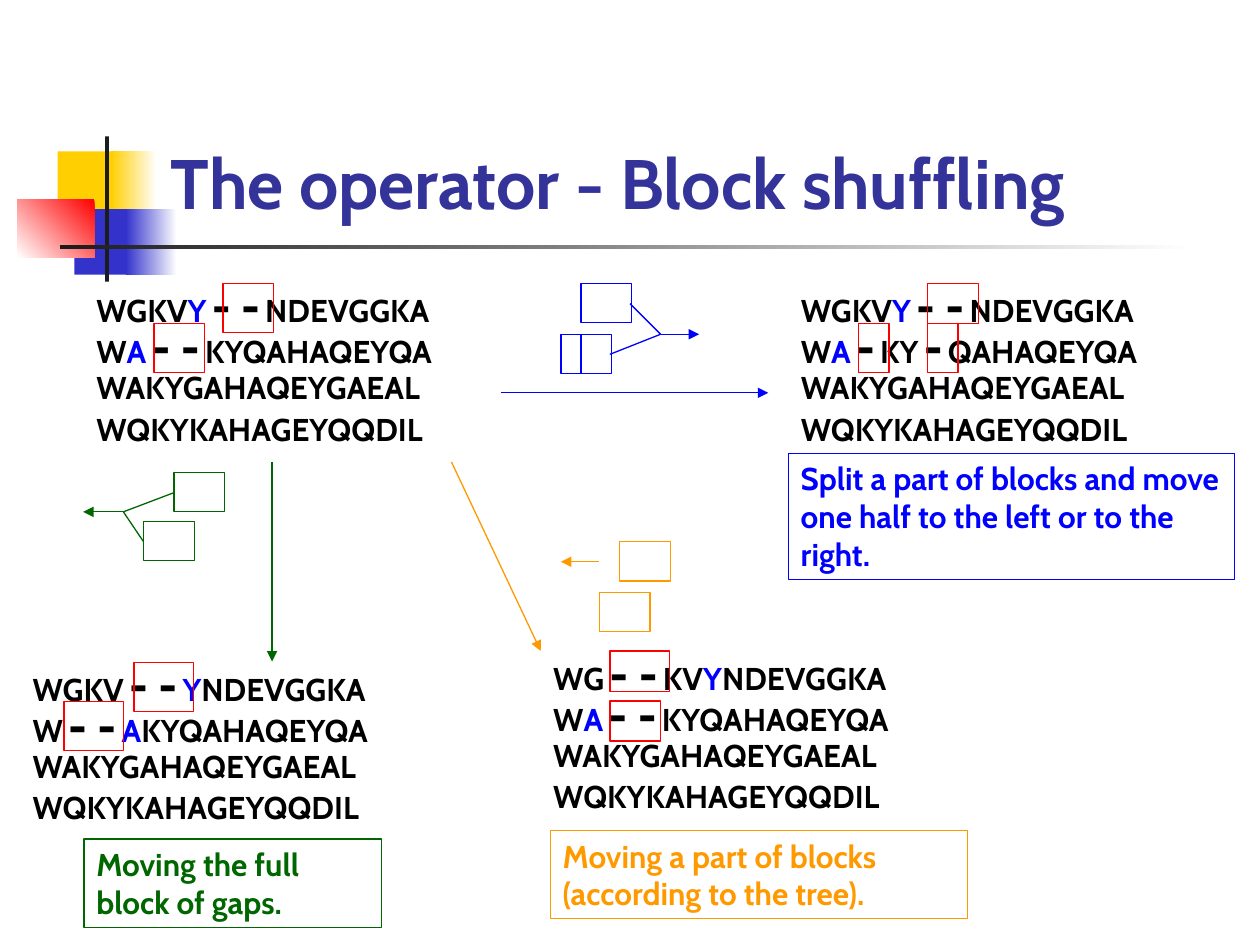
"""Build the slide on the block shuffling operator for sequence alignments."""
from lxml.etree import SubElement
from pptx import Presentation
from pptx.dml.color import RGBColor
from pptx.enum.shapes import MSO_CONNECTOR as CONNECTOR, MSO_SHAPE as SHAPE
from pptx.enum.text import MSO_ANCHOR as ANCHOR, PP_ALIGN as ALIGN
from pptx.oxml.ns import qn
from pptx.util import Pt

BLACK = RGBColor(0x00, 0x00, 0x00)
WHITE = RGBColor(0xFF, 0xFF, 0xFF)
CHARCOAL = RGBColor(0x1C, 0x1C, 0x1C)
YELLOW = RGBColor(0xFF, 0xCF, 0x01)
INDIGO = RGBColor(0x33, 0x33, 0xCC)
NAVY = RGBColor(0x33, 0x33, 0x99)
RED = RGBColor(0xFF, 0x00, 0x00)
BLUE = RGBColor(0x00, 0x00, 0xFF)
GREEN = RGBColor(0x00, 0x66, 0x00)
ORANGE = RGBColor(0xFF, 0x99, 0x00)


def add_box(slide, left, top, width, height):
    box = slide.shapes.add_shape(SHAPE.RECTANGLE, Pt(left), Pt(top), Pt(width), Pt(height))
    box.shadow.inherit = False
    box.fill.background()
    box.line.fill.background()
    return box


def style_font(font, size, color, name="Cabin"):
    font.name = name
    font.size = Pt(size)
    font.bold = True
    font.color.rgb = color


prs = Presentation()
prs.slide_width = Pt(720)
prs.slide_height = Pt(540)
slide = prs.slides.add_slide(prs.slide_layouts[6])

ornament = [
    (33, 86.5, 34.5, 37.5, YELLOW, None, 0),
    (63.5, 86.5, 26, 37.5, WHITE, YELLOW, 180),
    (42.5, 119.5, 33, 37.5, INDIGO, None, 0),
    (72, 119.5, 29, 37.5, WHITE, INDIGO, 180),
    (10, 114, 44, 33, RED, WHITE, 225),
    (60, 78, 2.25, 83, CHARCOAL, None, 0),
    (34.5, 140, 648, 2.5, WHITE, CHARCOAL, 180),
]
for left, top, width, height, start, end, angle in ornament:
    patch = add_box(slide, left, top, width, height)
    if end is None:
        patch.fill.solid()
        patch.fill.fore_color.rgb = start
    else:
        patch.fill.gradient()
        patch.fill.gradient_angle = angle
        for stop, color in zip(patch.fill.gradient_stops, (start, end)):
            stop.color.rgb = color

title = slide.shapes.add_textbox(Pt(90.5), Pt(16.5), Pt(613.5), Pt(115))
title.text_frame.word_wrap = True
title.text_frame.vertical_anchor = ANCHOR.BOTTOM
title.text_frame.text = "The operator - Block shuffling"
style_font(title.text_frame.paragraphs[0].runs[0].font, 40, NAVY)

alignments = [
    (48, 162, "WGKV Y -- NDEVGGKA", "W A -- KYQAHAQEYQA"),
    (11.5, 378.5, "WGKV -- Y NDEVGGKA", "W -- A KYQAHAQEYQA"),
    (309, 372, "WG -- KV Y NDEVGGKA", "W A -- KYQAHAQEYQA"),
    (450.5, 162, "WGKV Y -- NDEVGGKA", "W A - KY - QAHAQEYQA"),
]
ungapped = ["WAKYGAHAQEYGAEAL", "WQKYKAHAGEYQQDIL"]
row_spacing = [0.7, 0.7, Pt(19.5), Pt(23.5)]
for left, top, *gapped in alignments:
    alignment = slide.shapes.add_textbox(Pt(left), Pt(top), Pt(250), Pt(101.5))
    frame = alignment.text_frame
    frame.word_wrap = True
    for index, (sequence, spacing) in enumerate(zip(gapped + ungapped, row_spacing)):
        row = frame.add_paragraph() if index else frame.paragraphs[0]
        row.line_spacing = spacing
        for part in sequence.split():
            run = row.add_run()
            run.text = part
            if part.startswith("-"):
                style_font(run.font, 28, BLACK, "Courier New")
            else:
                style_font(run.font, 18, BLUE if part in ("Y", "A") else BLACK)

blocks = {
    RED: [
        (127.5, 162, 29, 28), (88, 185, 29, 28),
        (76.5, 378.5, 34, 28), (36.5, 401, 34, 28),
        (348.5, 372, 34, 23), (348.5, 400.5, 29, 23),
        (530, 162, 29, 23), (490.5, 185, 17.5, 28), (530, 185, 17.5, 28),
    ],
    GREEN: [(99.5, 270, 29, 22.5), (82, 298, 29, 22.5)],
    ORANGE: [(354, 309.5, 29, 22.5), (342.5, 338.5, 29, 22.5)],
    BLUE: [(332, 162, 29, 22.5), (320.5, 191, 29, 22.5)],
}
for color, places in blocks.items():
    for place in places:
        block = add_box(slide, *place)
        block.line.color.rgb = color
        block.line.width = Pt(0.75)

moves = [
    (GREEN, 99.5, 281.5, 70.5, 292.5, False),
    (GREEN, 82, 309.5, 70.5, 292.5, False),
    (GREEN, 70.5, 292.5, 47.5, 292.5, True),
    (GREEN, 155.5, 264, 155.5, 378, True),
    (ORANGE, 342.5, 321, 320.5, 321, True),
    (ORANGE, 258, 264, 309, 372, True),
    (BLUE, 286.5, 224.5, 439, 224.5, True),
    (BLUE, 377.5, 191, 348.5, 202.5, False),
    (BLUE, 377.5, 191, 360, 173.5, False),
    (BLUE, 377.5, 191, 399.5, 191, True),
    (BLUE, 332, 191, 332, 213, False),
]
for color, x1, y1, x2, y2, has_arrow in moves:
    move = slide.shapes.add_connector(CONNECTOR.STRAIGHT, Pt(x1), Pt(y1), Pt(x2), Pt(y2))
    move.line.color.rgb = color
    move.line.width = Pt(0.75)
    if has_arrow:
        SubElement(move.line._get_or_add_ln(), qn("a:tailEnd"), type="triangle")
    SubElement(move._element.spPr, qn("a:effectLst"))

captions = [
    (48, 479.5, 170, 50.5, GREEN, "Moving the full block of gaps."),
    (314.5, 474.5, 238.5, 50.5, ORANGE, "Moving a part of blocks (according to the tree)."),
    (450.5, 259, 255, 72, BLUE,
     "Split a part of blocks and move one half to the left or to the right."),
]
for left, top, width, height, color, wording in captions:
    caption = add_box(slide, left, top, width, height)
    caption.line.color.rgb = color
    caption.line.width = Pt(0.75)
    frame = caption.text_frame
    frame.word_wrap = True
    frame.vertical_anchor = ANCHOR.TOP
    frame.text = wording
    frame.paragraphs[0].alignment = ALIGN.LEFT
    style_font(frame.paragraphs[0].runs[0].font, 18, color)

prs.save("out.pptx")
